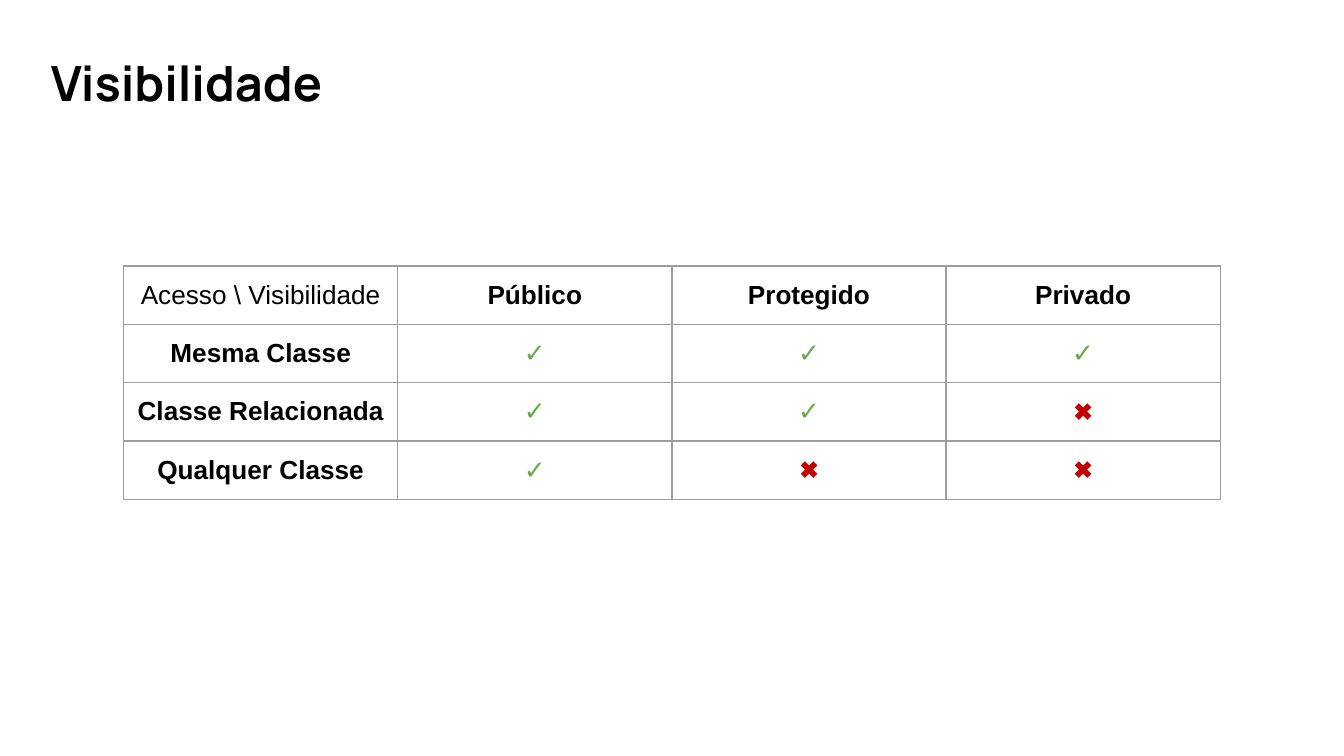
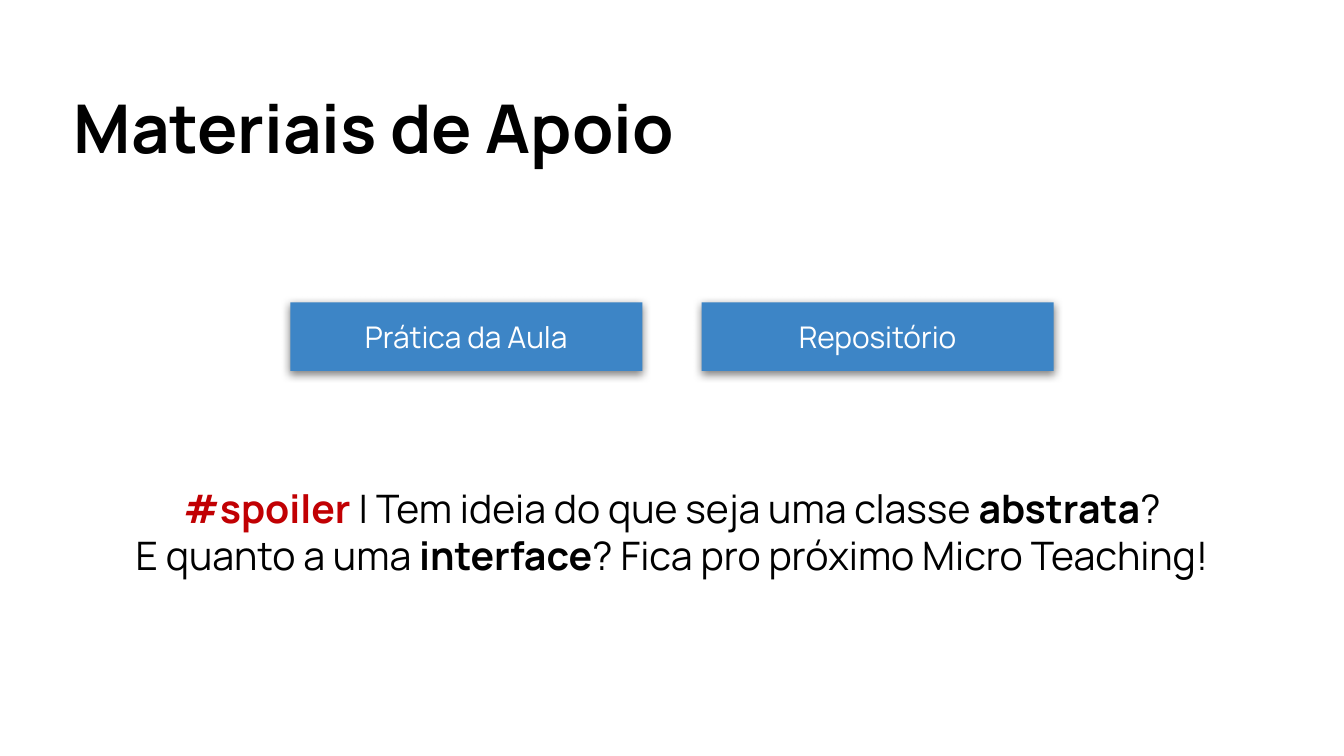
from dataclasses import dataclass

from lxml.etree import SubElement
from pptx import Presentation
from pptx.dml.color import RGBColor
from pptx.enum.shapes import MSO_SHAPE as SHAPE
from pptx.enum.text import MSO_ANCHOR as ANCHOR, PP_ALIGN as ALIGN
from pptx.oxml.ns import qn
from pptx.util import Pt

SCALE = 4572


@dataclass(frozen=True)
class Theme:
    """Colours, fonts, type sizes and insets of the deck."""
    black: str = "000000"
    white: str = "FFFFFF"
    red: str = "C10003"
    green: str = "6AA84F"
    blue: str = "3D85C6"
    grid: str = "9E9E9E"
    font: str = "Manrope"
    table_font: str = "Arial"
    title: int = 26
    big_title: int = 36
    question: int = 21
    button: int = 16
    cell: int = 14
    cross: int = 13
    inset: int = 20


T = Theme()
CHECK, CROSS = "✓", "✖"
ACCESS = [
    ["Acesso \\ Visibilidade", "Público", "Protegido", "Privado"],
    ["Mesma Classe", CHECK, CHECK, CHECK],
    ["Classe Relacionada", CHECK, CHECK, CROSS],
    ["Qualquer Classe", CHECK, CROSS, CROSS],
]
MARKS = {CHECK: (T.cell, T.green), CROSS: (T.cross, T.red)}
QUESTION = [
    [("#spoiler ", T.red, True), ("| Tem ideia do que seja uma classe ", T.black, False),
     ("abstrata", T.black, True), ("?", T.black, False)],
    [("E quanto a uma ", T.black, False), ("interface", T.black, True),
     ("? Fica pro próximo Micro Teaching!", T.black, False)],
]


def px(*lengths):
    """Turn whole px into EMU."""
    return [n * SCALE for n in lengths]


def style(r, size, color, bold=False, font=T.font):
    """Format one run."""
    r.font.name, r.font.size, r.font.bold = font, Pt(size), bold
    r.font.color.rgb = RGBColor.from_string(color)


def inset(holder):
    """Give a text frame or cell the shared margins."""
    (holder.margin_left, holder.margin_top,
     holder.margin_right, holder.margin_bottom) = px(*[T.inset] * 4)


def add_text(slide, box, anchor):
    """Add a wrapping text box and return its text frame."""
    tf = slide.shapes.add_textbox(*px(*box)).text_frame
    tf.word_wrap, tf.vertical_anchor = True, anchor
    inset(tf)
    return tf


def add_title(slide, box, text, size):
    """Add a bold slide title."""
    tf = add_text(slide, box, ANCHOR.MIDDLE)
    tf.text = text
    style(tf.paragraphs[0].runs[0], size, T.black, True)


def add_borders(cell):
    """Draw the thin grid line on all sides of a cell."""
    tcPr = cell._tc.get_or_add_tcPr()
    for side in ("lnL", "lnR", "lnT", "lnB"):
        ln = SubElement(tcPr, qn(f"a:{side}"), w=str(Pt(0.75)))
        SubElement(SubElement(ln, qn("a:solidFill")), qn("a:srgbClr"), val=T.grid)


def add_access_table(slide, box, rows):
    """Add the access table with equal rows and columns."""
    table = slide.shapes.add_table(len(rows), len(rows[0]), *px(*box)).table
    table.first_row = table.horz_banding = False
    for i, row in enumerate(rows):
        for j, text in enumerate(row):
            cell = table.cell(i, j)
            add_borders(cell)
            cell.fill.background()
            inset(cell)
            cell.vertical_anchor = ANCHOR.MIDDLE
            cell.text = text
            p = cell.text_frame.paragraphs[0]
            p.alignment, p.line_spacing = ALIGN.CENTER, 1.0
            size, color = MARKS.get(text, (T.cell, T.black))
            style(p.runs[0], size, color, i + j > 0, T.table_font)


def add_shadow(sp):
    """Give a shape a soft shadow straight below it."""
    sp.shadow.inherit = False
    effects = sp._element.spPr.find(qn("a:effectLst"))
    shadow = SubElement(effects, qn("a:outerShdw"), blurRad=str(Pt(4.5)),
                        dist=str(Pt(1.5)), dir="5400000", algn="bl", rotWithShape="0")
    color = SubElement(shadow, qn("a:srgbClr"), val=T.black)
    SubElement(color, qn("a:alpha"), val="50000")


def add_buttons(slide, box, labels, gap):
    """Spread equal buttons over the width of the box."""
    x, y, w, h = box
    width = (w - gap * (len(labels) - 1)) // len(labels)
    for i, label in enumerate(labels):
        sp = slide.shapes.add_shape(SHAPE.RECTANGLE, *px(x + i * (width + gap), y, width, h))
        sp.fill.solid()
        sp.fill.fore_color.rgb = RGBColor.from_string(T.blue)
        sp.line.fill.background()
        add_shadow(sp)
        tf = sp.text_frame
        tf.word_wrap, tf.vertical_anchor = True, ANCHOR.MIDDLE
        inset(tf)
        tf.text = label
        p = tf.paragraphs[0]
        p.alignment = ALIGN.CENTER
        style(p.runs[0], T.button, T.white)


def add_question(slide, box, lines):
    """Add the closing question in centred lines of mixed runs."""
    tf = add_text(slide, box, ANCHOR.TOP)
    tf.text = "\n".join([""] * len(lines))
    for p, parts in zip(tf.paragraphs, lines):
        p.alignment = ALIGN.CENTER
        for text, color, bold in parts:
            r = p.add_run()
            r.text = text
            style(r, T.question, color, bold)


def build_visibility(slide):
    """Build the visibility slide."""
    add_title(slide, (56, 46, 1888, 152), "Visibilidade", T.title)
    add_access_table(slide, (184, 396, 1632, 332), ACCESS)


def build_materials(slide):
    """Build the support materials slide."""
    add_title(slide, (90, 112, 1822, 152), "Materiais de Apoio", T.big_title)
    add_question(slide, (118, 700, 1764, 198), QUESTION)
    add_buttons(slide, (432, 450, 1136, 102), ["Prática da Aula", "Repositório"], 88)


def main():
    """Build and save the deck."""
    prs = Presentation()
    prs.slide_width, prs.slide_height = px(2000, 1125)
    for build in (build_visibility, build_materials):
        build(prs.slides.add_slide(prs.slide_layouts[6]))
    prs.save("out.pptx")


if __name__ == "__main__":
    main()
